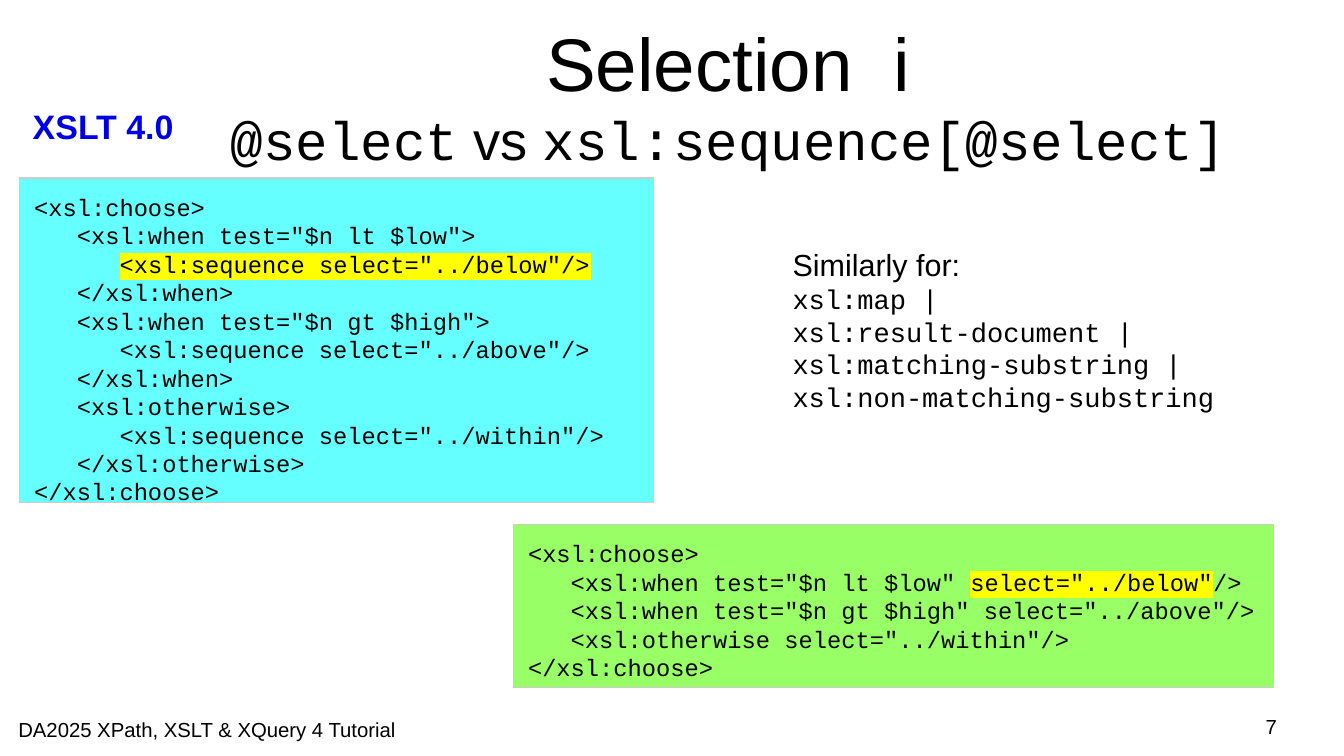
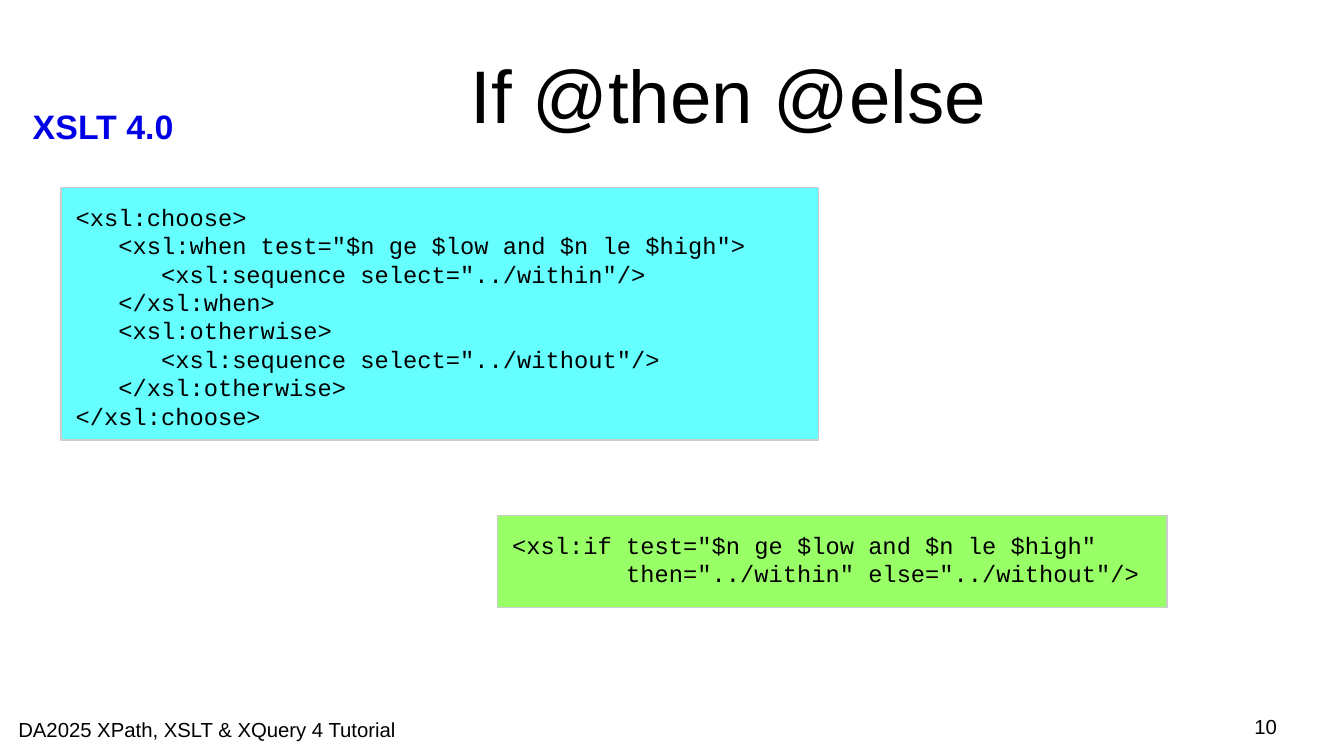
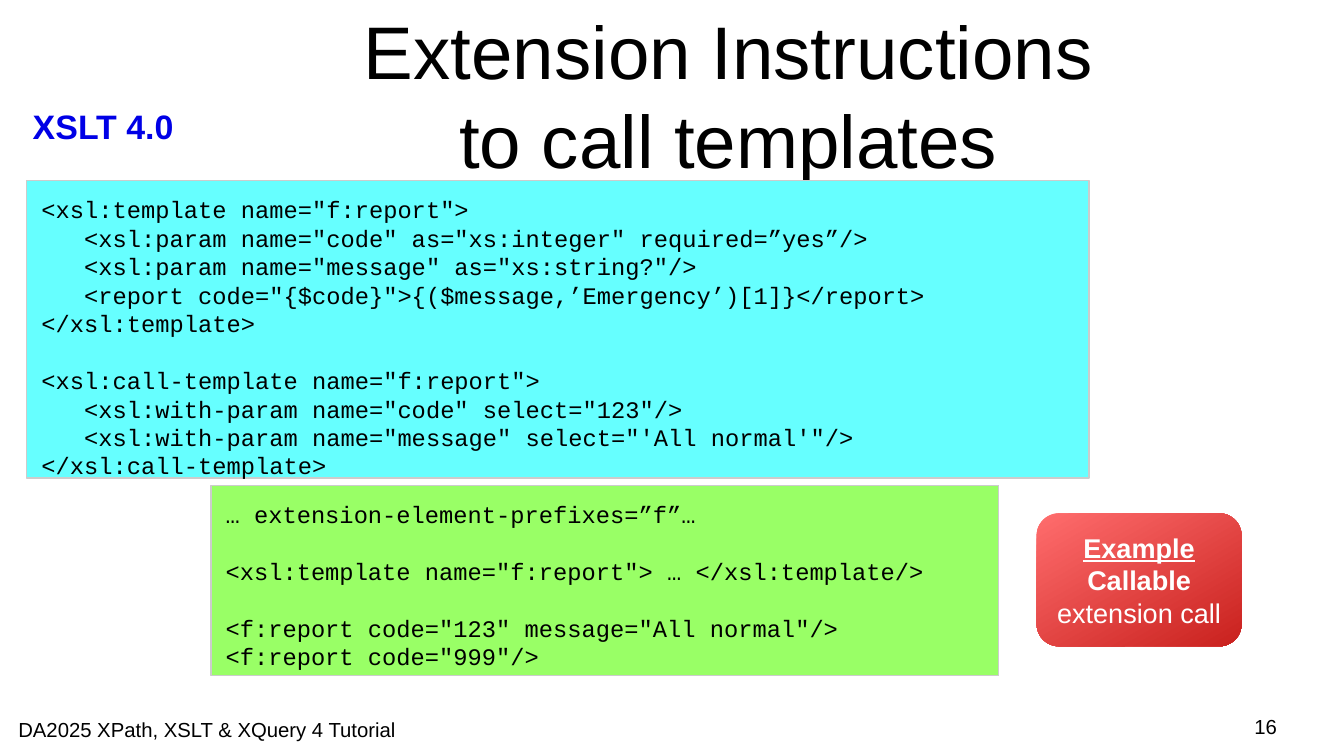
"""Build three slides comparing XSLT code before and after version 4.0."""
from lxml import etree
from pptx import Presentation, util as u
from pptx.dml.color import RGBColor
from pptx.enum import shapes, text
from pptx.oxml.ns import qn

WIDTH, HEIGHT = 11.02, 6.2
COLOURS = {"ink": "000000", "version": "0000E6", "before": "66FFFF", "after": "99FF66",
           "edge": "CCCCCC", "mark": "FFFF00", "paper": "FFFFFF",
           "badge_light": "FF6D6D", "badge_dark": "C9211E"}
SANS, MONO = "Arial", "Courier New"
LEFT, CENTRE, RIGHT = text.PP_ALIGN.LEFT, text.PP_ALIGN.CENTER, text.PP_ALIGN.RIGHT
TOP, MIDDLE = text.MSO_ANCHOR.TOP, text.MSO_ANCHOR.MIDDLE
CODE_SIZE, CODE_LINE, CODE_PAD = 14, 0.22, 0.12
TITLE_LEFT, TITLE_WIDTH, TITLE_MIDDLE = 1.48, 8.99, 0.77
TEXT_PAD = (0.1, 0.05)

VERSION = "XSLT 4.0"
FOOTER = "DA2025 XPath, XSLT & XQuery 4 Tutorial"

SLIDES = [
    {
        "number": 7,
        "title": [("Selection  i\n", {}), ("@select", {"size": 32, "font": MONO}),
                  (" vs ", {"size": 32}),
                  ("xsl:sequence[@select]", {"size": 32, "font": MONO})],
        "title_height": 1.22,
        "codes": [
            {"fill": "before", "at": (0.16, 1.46), "width": 5.2,
             "marked": '<xsl:sequence select="../below"/>',
             "code": '''<xsl:choose>
   <xsl:when test="$n lt $low">
      <xsl:sequence select="../below"/>
   </xsl:when>
   <xsl:when test="$n gt $high">
      <xsl:sequence select="../above"/>
   </xsl:when>
   <xsl:otherwise>
      <xsl:sequence select="../within"/>
   </xsl:otherwise>
</xsl:choose>'''},
            {"fill": "after", "at": (4.21, 4.3), "width": 6.23,
             "marked": 'select="../below"',
             "code": '''<xsl:choose>
   <xsl:when test="$n lt $low" select="../below"/>
   <xsl:when test="$n gt $high" select="../above"/>
   <xsl:otherwise select="../within"/>
</xsl:choose>'''},
        ],
        "aside": [[("Similarly for:", {"size": 18, "font": SANS})],
                  "xsl:map |", "xsl:result-document |",
                  "xsl:matching-substring | xsl:non-matching-substring"],
    },
    {
        "number": 10,
        "title": "If @then @else",
        "title_height": 1.04,
        "codes": [
            {"fill": "before", "at": (0.5, 1.54), "width": 6.21, "slack": 0.07,
             "code": '''<xsl:choose>
   <xsl:when test="$n ge $low and $n le $high">
      <xsl:sequence select="../within"/>
   </xsl:when>
   <xsl:otherwise>
      <xsl:sequence select="../without"/>
   </xsl:otherwise>
</xsl:choose>'''},
            {"fill": "after", "at": (4.08, 4.23), "width": 5.49, "slack": 0.07,
             "code": '''<xsl:if test="$n ge $low and $n le $high"
        then="../within" else="../without"/>'''},
        ],
    },
    {
        "number": 16,
        "title": "Extension Instructions\nto call templates",
        "title_height": 1.37,
        "codes": [
            {"fill": "before", "at": (0.22, 1.48), "width": 8.71,
             "code": '''<xsl:template name="f:report">
   <xsl:param name="code" as="xs:integer" required=”yes”/>
   <xsl:param name="message" as="xs:string?"/>
   <report code="{$code}">{($message,’Emergency’)[1]}</report>
</xsl:template>

<xsl:call-template name="f:report">
   <xsl:with-param name="code" select="123"/>
   <xsl:with-param name="message" select="'All normal'"/>
</xsl:call-template>'''},
            {"fill": "after", "at": (1.73, 3.98), "width": 6.46,
             "code": '''… extension-element-prefixes=”f”…

<xsl:template name="f:report"> … </xsl:template/>

<f:report code="123" message="All normal"/>
<f:report code="999"/>'''},
        ],
        "badge": [[("Example", {"bold": True, "underline": True})],
                  [("Callable", {"bold": True})], "extension call"],
    },
]


def rgb(name):
    """Return the named colour."""
    return RGBColor.from_string(COLOURS[name])


def inches(*lengths):
    """Convert lengths in inches."""
    return [u.Inches(length) for length in lengths]


def format_run(run, size, font, colour="ink", bold=False, underline=False, mark=None):
    """Format one run, with an optional highlight."""
    run.font.size, run.font.name = u.Pt(size), font
    run.font.bold, run.font.underline = bold, underline
    run.font.color.rgb = rgb(colour)
    if mark:
        highlight = etree.Element(qn("a:highlight"))
        etree.SubElement(highlight, qn("a:srgbClr"), val=COLOURS[mark])
        run.font.fill._xPr.find(qn("a:solidFill")).addnext(highlight)


def write(shape, paragraphs, align=LEFT, anchor=TOP, pad=(0, 0), wrap=True,
          gaps=None, **style):
    """Write paragraphs, each a string or a list of (text, format) runs."""
    frame = shape.text_frame
    frame.word_wrap, frame.auto_size = wrap, text.MSO_AUTO_SIZE.NONE
    frame.vertical_anchor = anchor
    frame.margin_left = frame.margin_right = u.Inches(pad[0])
    frame.margin_top = frame.margin_bottom = u.Inches(pad[1])
    for index, runs in enumerate(paragraphs):
        paragraph = frame.add_paragraph() if index else frame.paragraphs[0]
        paragraph.alignment = align
        if gaps and gaps[index]:
            paragraph.space_before = u.Pt(gaps[index])
        for words, extra in [(runs, {})] if isinstance(runs, str) else runs:
            for part, line in enumerate(words.split("\n")):
                if part:
                    paragraph.add_line_break()
                if line:
                    run = paragraph.add_run()
                    run.text = line
                    format_run(run, **{**style, **extra})


def add_text(slide, at, paragraphs, **style):
    """Add a text box."""
    write(slide.shapes.add_textbox(*inches(*at)), paragraphs, **style)


def add_title(slide, title, height):
    """Place the title around the shared middle line."""
    holder = slide.shapes.title
    holder.left, holder.top, holder.width, holder.height = inches(
        TITLE_LEFT, TITLE_MIDDLE - height / 2, TITLE_WIDTH, height)
    write(holder, [title], align=CENTRE, anchor=MIDDLE, size=44, font=SANS)


def add_code(slide, fill, at, width, code, marked=None, slack=0):
    """Add a code panel as tall as its lines."""
    lines = code.split("\n")
    height = 2 * CODE_PAD + CODE_LINE * len(lines) + slack
    panel = slide.shapes.add_shape(shapes.MSO_SHAPE.RECTANGLE, *inches(*at, width, height))
    panel.shadow.inherit = False
    panel.fill.solid()
    panel.fill.fore_color.rgb = rgb(fill)
    panel.line.color.rgb = rgb("edge")
    panel.line.width = u.Pt(0)
    paragraphs, gaps, gap = [], [], 0
    for line in lines:
        if not line:
            gap += 1.2 * CODE_SIZE
            continue
        if marked and marked in line:
            before, hit, after = line.partition(marked)
            line = [(before, {}), (hit, {"mark": "mark"}), (after, {})]
        paragraphs.append(line)
        gaps.append(gap)
        gap = 0
    write(panel, paragraphs, gaps=gaps, pad=(CODE_PAD, CODE_PAD), size=CODE_SIZE, font=MONO)


def add_badge(slide, paragraphs):
    """Add the red gradient badge."""
    badge = slide.shapes.add_shape(
        shapes.MSO_SHAPE.ROUNDED_RECTANGLE, *inches(8.5, 4.21, 1.68, 1.09))
    badge.shadow.inherit = False
    badge.line.fill.background()
    badge.fill.gradient()
    badge.fill.gradient_angle = 300
    for stop, colour in zip(badge.fill.gradient_stops, ("badge_light", "badge_dark")):
        stop.color.rgb = rgb(colour)
    write(badge, paragraphs, align=CENTRE, anchor=MIDDLE, pad=(0.08, 0.08), wrap=False,
          size=16, font=SANS, colour="paper")


def add_slide(deck, content):
    """Build one slide with the shared title, version and footer."""
    slide = deck.slides.add_slide(deck.slide_layouts[5])
    add_title(slide, content["title"], content["title_height"])
    add_text(slide, (0.17, 0.82, 1.38, 0.41), [VERSION], pad=TEXT_PAD,
             size=20, font=SANS, colour="version", bold=True)
    for code in content["codes"]:
        add_code(slide, **code)
    if "aside" in content:
        add_text(slide, (6.4, 1.97, 3.68, 1.93), content["aside"], pad=TEXT_PAD,
                 size=16, font=MONO)
    if "badge" in content:
        add_badge(slide, content["badge"])
    add_text(slide, (0.15, 5.88, 3.49, 0.19), [FOOTER], size=12, font=SANS)
    add_text(slide, (7.9, 5.86, 2.57, 0.24), [str(content["number"])], align=RIGHT,
             size=12, font=SANS)


def main():
    """Build and save the deck."""
    deck = Presentation()
    deck.slide_width, deck.slide_height = inches(WIDTH, HEIGHT)
    for content in SLIDES:
        add_slide(deck, content)
    deck.save("out.pptx")


if __name__ == "__main__":
    main()
